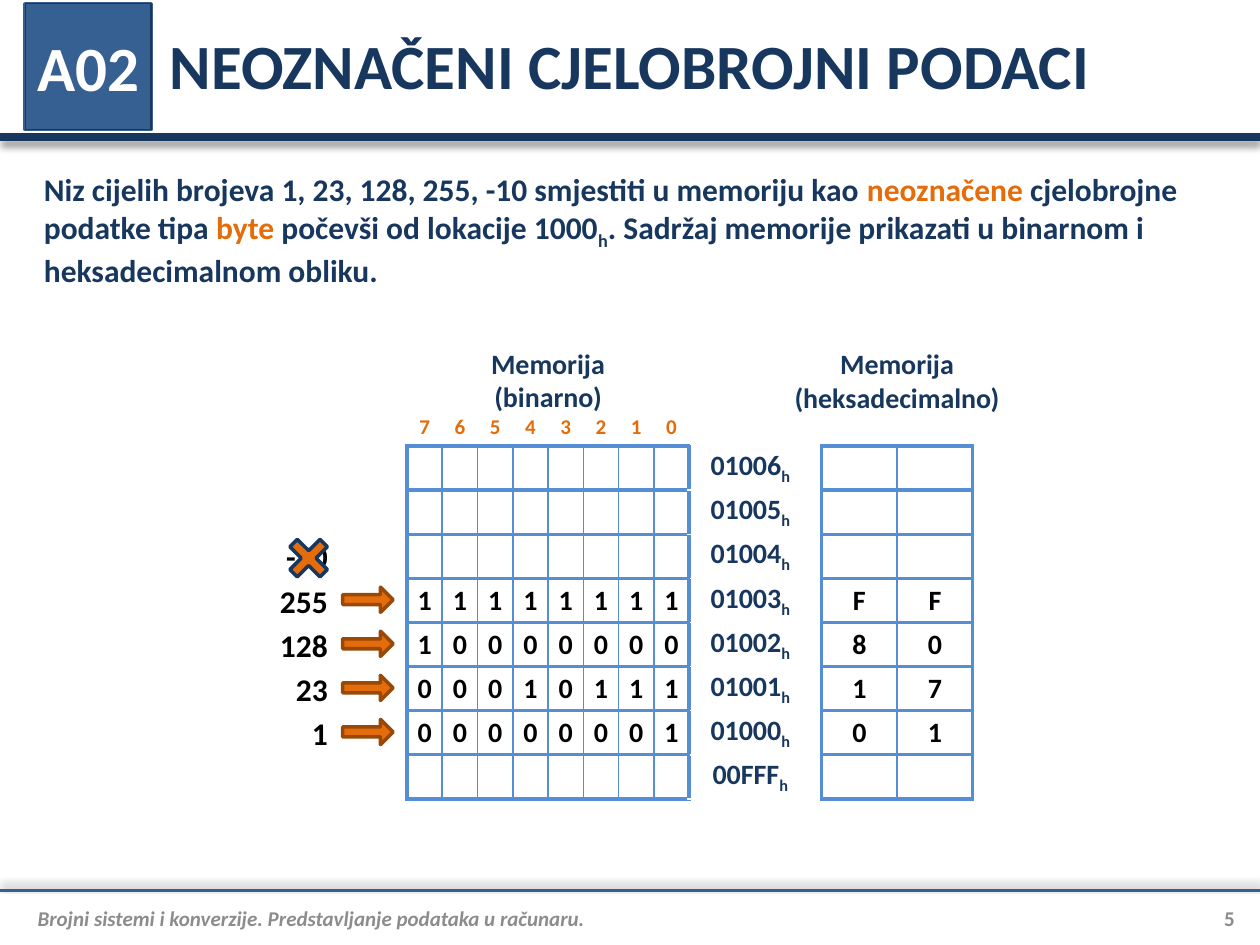
from dataclasses import dataclass

from lxml import etree
from pptx import Presentation
from pptx.dml.color import RGBColor
from pptx.enum.shapes import MSO_CONNECTOR, MSO_SHAPE
from pptx.enum.text import MSO_ANCHOR, PP_ALIGN
from pptx.oxml.ns import qn
from pptx.util import Inches, Pt

LEFT, CENTER, RIGHT = PP_ALIGN.LEFT, PP_ALIGN.CENTER, PP_ALIGN.RIGHT
TOP, MIDDLE = MSO_ANCHOR.TOP, MSO_ANCHOR.MIDDLE
STRAIGHT = MSO_CONNECTOR.STRAIGHT
RECTANGLE, ARROW, CROSS = MSO_SHAPE.RECTANGLE, MSO_SHAPE.RIGHT_ARROW, MSO_SHAPE.MATH_MULTIPLY

COLORS = {
    "navy": "17375E", "blue": "376092", "grid": "558ED5", "orange": "E46C0A",
    "brown": "984807", "gray": "8C8C8C", "black": "000000", "white": "FFFFFF",
    "badge": "4F81BD", "badge_line": "3A5F8C",
}
FONT = "Calibri"
SLIDE_WIDTH, SLIDE_HEIGHT = 10, 7.5
ROW, HEADER_ROW, MEMORY_TOP = 0.35, 0.3, 3.54
BIT, ADDRESS, HEX_DIGIT = 0.28, 1, 0.6
BINARY_LEFT, HEX_LEFT, LABEL_LEFT, ARROW_LEFT = 3.23, 6.52, 2.1, 2.72
THIN, THICK = 1, 2.25
TEXT_INSETS = (0.1, 0.05, 0.1, 0.05)
NO_INSETS = (0, 0, 0, 0)
ADDRESSES = ["01006", "01005", "01004", "01003", "01002", "01001", "01000", "00FFF"]


@dataclass
class Span:
    text: str
    color: str = "navy"
    subscript: bool = False


@dataclass
class Stored:
    value: int
    row: int


@dataclass
class Rule:
    top: float
    color: str
    width: float
    shadow_angle: int


@dataclass
class Caption:
    left: float
    width: float
    lines: tuple[str, str]
    anchor: MSO_ANCHOR


STORED = [Stored(1, 6), Stored(23, 5), Stored(128, 4), Stored(255, 3)]
RULES = [Rule(1.09, "navy", 4.5, 90), Rule(7.07, "blue", 1.5, 270)]
CAPTIONS = [
    Caption(6.17, 1.9, ("Memorija", "(heksadecimalno)"), MIDDLE),
    Caption(3.75, 1.2, ("Memorija", "(binarno)"), TOP),
]
TASK = [
    Span("Niz cijelih brojeva 1, 23, 128, 255, -10 smjestiti u memoriju kao "),
    Span("neoznačene", "orange"), Span(" cjelobrojne podatke tipa "),
    Span("byte ", "orange"), Span("počevši od lokacije 1000"), Span("h", subscript=True),
    Span(". Sadržaj memorije prikazati u binarnom i heksadecimalnom obliku."),
]


def rgb(color: str) -> RGBColor:
    return RGBColor.from_string(COLORS[color])


def row_top(row: int) -> float:
    return MEMORY_TOP + row * ROW


def write(para, spans: list[Span], size: float, align=LEFT, italic=False) -> None:
    para.alignment = align
    for span in spans:
        run = para.add_run()
        run.text = span.text
        font = run.font
        font.name, font.size, font.bold = FONT, Pt(size), True
        font.italic = italic
        font.color.rgb = rgb(span.color)
        if span.subscript:
            run.font._element.set("baseline", "-25000")


def set_frame(frame, insets=TEXT_INSETS, anchor=MIDDLE) -> None:
    frame.word_wrap = True
    frame.vertical_anchor = anchor
    (frame.margin_left, frame.margin_top,
     frame.margin_right, frame.margin_bottom) = map(Inches, insets)


def add_text(shapes, at, lines: list[list[Span]], size, align=LEFT, anchor=MIDDLE,
             insets=TEXT_INSETS, italic=False) -> None:
    frame = shapes.add_textbox(*map(Inches, at)).text_frame
    set_frame(frame, insets, anchor)
    for index, spans in enumerate(lines):
        para = frame.paragraphs[0] if index == 0 else frame.add_paragraph()
        write(para, spans, size, align, italic)


def add_figure(shapes, kind, at, fill: str, line: str, width: float, adjustments=()):
    shape = shapes.add_shape(kind, *map(Inches, at))
    shape.shadow.inherit = False
    shape.fill.solid()
    shape.fill.fore_color.rgb = rgb(fill)
    shape.line.color.rgb = rgb(line)
    shape.line.width = Pt(width)
    for index, value in enumerate(adjustments):
        shape.adjustments[index] = value
    return shape


def add_rule(shapes, rule: Rule) -> None:
    line = shapes.add_connector(STRAIGHT, 0, Inches(rule.top),
                                Inches(SLIDE_WIDTH), Inches(rule.top))
    line.line.color.rgb = rgb(rule.color)
    line.line.width = Pt(rule.width)
    effects = etree.SubElement(line._element.spPr, qn("a:effectLst"))
    shadow = etree.SubElement(effects, qn("a:outerShdw"), blurRad=str(Pt(4)), dist=str(Pt(3)),
                              dir=str(rule.shadow_angle * 60000), algn="t", rotWithShape="0")
    shade = etree.SubElement(shadow, qn("a:srgbClr"), val=COLORS["black"])
    etree.SubElement(shade, qn("a:alpha"), val="40000")


def style_cell(cell, spans: list[Span], size: float, borders) -> None:
    """Borders are (color, width) pairs for left, right, top and bottom."""
    cell.margin_left = cell.margin_right = cell.margin_top = cell.margin_bottom = 0
    cell.vertical_anchor = MIDDLE
    para = cell.text_frame.paragraphs[0]
    write(para, spans, size, CENTER)
    if not spans:
        para._p.get_or_add_endParaRPr().set("sz", str(size * 100))
    properties = cell._tc.get_or_add_tcPr()
    for side, (color, width) in zip("LRTB", borders):
        line = etree.SubElement(properties, qn(f"a:ln{side}"), w=str(Pt(width)))
        fill = etree.SubElement(line, qn("a:solidFill"))
        etree.SubElement(fill, qn("a:srgbClr"), val=COLORS[color])
    cell.fill.background()


def add_grid(shapes, left: float, top: float, columns: list[float], rows: list[float]):
    table = shapes.add_table(len(rows), len(columns), Inches(left), Inches(top),
                             Inches(sum(columns)), Inches(sum(rows))).table
    table.first_row = table.horz_banding = False
    for column, width in zip(table.columns, columns):
        column.width = Inches(width)
    for row, height in zip(table.rows, rows):
        row.height = Inches(height)
    return table


def style_memory(table, first_row: int, last_row: int, digits: int) -> None:
    """Leave the cells empty, with thick row lines and a thick outer frame."""
    for row in range(first_row, last_row + 1):
        for column in range(digits):
            left = THICK if column == 0 else THIN
            right = THICK if column == digits - 1 else THIN
            style_cell(table.cell(row, column), [], 12,
                       [("grid", width) for width in (left, right, THICK, THICK)])


def add_binary_memory(shapes) -> None:
    count = len(ADDRESSES)
    table = add_grid(shapes, BINARY_LEFT, MEMORY_TOP - HEADER_ROW,
                     [BIT] * 8 + [ADDRESS], [HEADER_ROW] + [ROW] * count)
    blank = ("white", THIN)
    for column in range(8):
        style_cell(table.cell(0, column), [Span(str(7 - column), "orange")], 12,
                   [blank] * 3 + [("grid", THICK)])
    style_cell(table.cell(0, 8), [], 12, [blank] * 4)
    style_memory(table, 1, count, 8)
    for row, address in enumerate(ADDRESSES, 1):
        style_cell(table.cell(row, 8), [Span(address), Span("h ", subscript=True)], 16,
                   [("grid", THICK)] + [blank] * 3)


def add_digits(shapes, left: float, row: int, digits: str, width: float) -> None:
    table = add_grid(shapes, left, row_top(row), [width] * len(digits), [ROW])
    for column, digit in enumerate(digits):
        style_cell(table.cell(0, column), [Span(digit, "black")], 16, [("grid", THIN)] * 4)


def add_number(shapes, text: str, row: int) -> None:
    add_text(shapes, (LABEL_LEFT, row_top(row), 0.6, ROW), [[Span(text, "black")]], 18, RIGHT)


def add_stored(shapes, stored: Stored) -> None:
    add_digits(shapes, BINARY_LEFT, stored.row, f"{stored.value:08b}", BIT)
    add_digits(shapes, HEX_LEFT, stored.row, f"{stored.value:02X}", HEX_DIGIT)
    group = shapes.add_group_shape().shapes
    add_figure(group, ARROW, (ARROW_LEFT, row_top(stored.row) + 0.07, 0.4, 0.2),
               "orange", "brown", 2, (0.396, 0.5))
    add_number(group, str(stored.value), stored.row)


def main() -> None:
    deck = Presentation()
    deck.slide_width, deck.slide_height = Inches(SLIDE_WIDTH), Inches(SLIDE_HEIGHT)
    shapes = deck.slides.add_slide(deck.slide_layouts[6]).shapes
    for rule in RULES:
        add_rule(shapes, rule)
    badge_place = (0.2, 0.03, 1, 1)
    add_figure(shapes, RECTANGLE, badge_place, "badge", "badge_line", 2)
    add_text(shapes, (1.25, 0.01, 8.55, 1), [[Span("NEOZNAČENI CJELOBROJNI PODACI")]], 36)
    footer = "Brojni sistemi i konverzije. Predstavljanje podataka u računaru."
    add_text(shapes, (0.2, 7.11, 9.1, ROW), [[Span(footer, "gray")]], 12,
             insets=(0.1, 0, 0, 0), italic=True)
    add_text(shapes, (9.3, 7.11, 0.5, ROW), [[Span("5", "gray")]], 12, RIGHT, insets=NO_INSETS)
    badge = add_figure(shapes, RECTANGLE, badge_place, "blue", "navy", 0.75)
    set_frame(badge.text_frame, NO_INSETS)
    badge_para = badge.text_frame.paragraphs[0]
    badge_para.space_before = Pt(7)
    write(badge_para, [Span("A02", "white")], 36, CENTER)
    add_text(shapes, (0.25, 1.3, 9.42, 1.01), [TASK], 18, anchor=TOP)

    add_binary_memory(shapes)
    hex_memory = add_grid(shapes, HEX_LEFT, MEMORY_TOP, [HEX_DIGIT] * 2, [ROW] * len(ADDRESSES))
    style_memory(hex_memory, 0, len(ADDRESSES) - 1, 2)
    for caption in CAPTIONS:
        add_text(shapes, (caption.left, 2.7, caption.width, 0.64),
                 [[Span(line)] for line in caption.lines], 16, CENTER, caption.anchor)
    for stored in STORED:
        add_stored(shapes, stored)
    add_number(shapes, "-10", 2)
    add_figure(shapes, CROSS, (2.22, 4.2, 0.46, 0.46), "orange", "navy", 2, (0.182,))
    deck.save("out.pptx")


if __name__ == "__main__":
    main()
